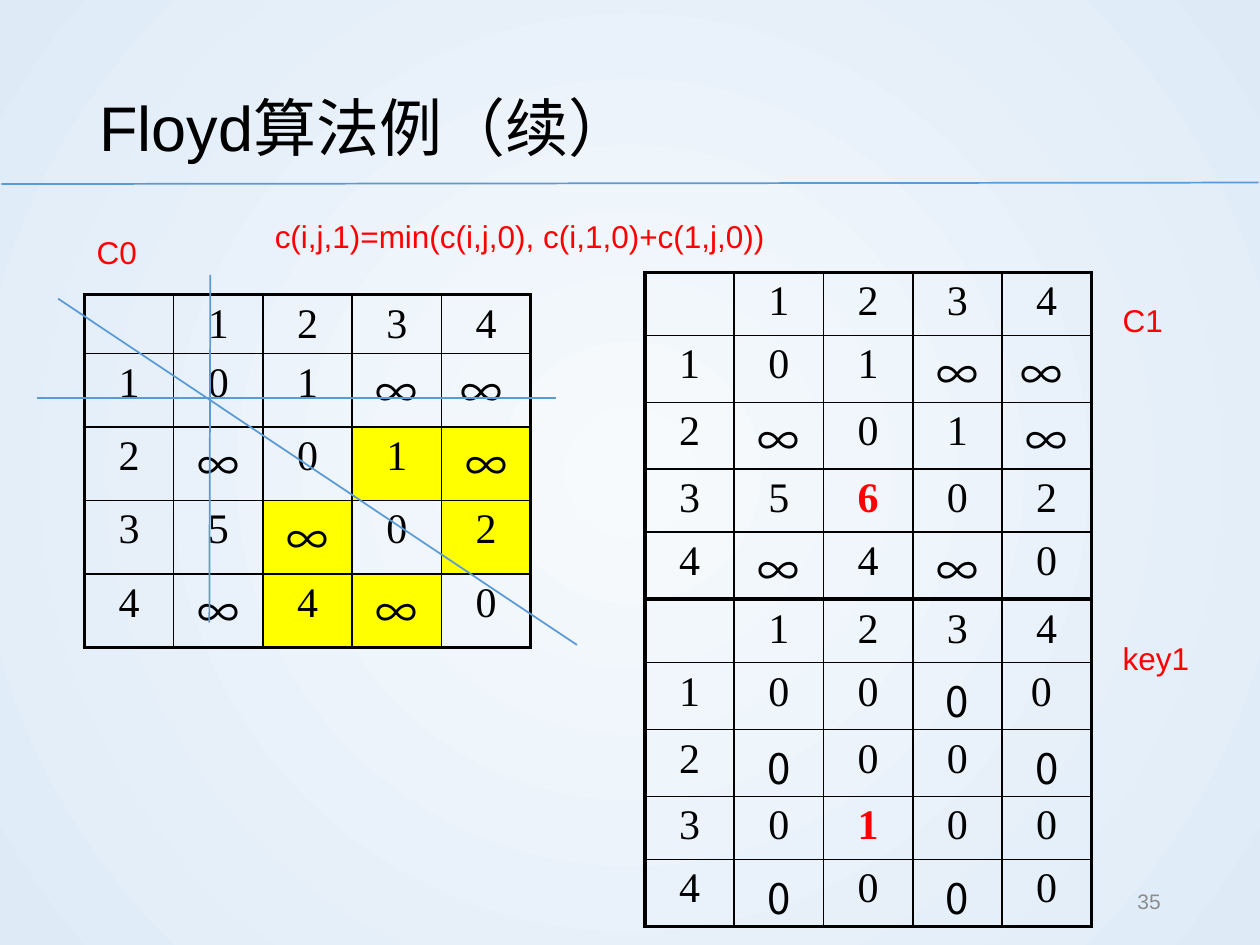
import dataclasses

import pptx
import pptx.dml.color
import pptx.enum.shapes
import pptx.enum.text
import pptx.oxml
import pptx.oxml.ns
import pptx.util

Cm = pptx.util.Cm
Pt = pptx.util.Pt
RGB = pptx.dml.color.RGBColor.from_string
ALIGN = pptx.enum.text.PP_ALIGN
ANCHOR = pptx.enum.text.MSO_ANCHOR
qn = pptx.oxml.ns.qn
NS = pptx.oxml.ns.nsdecls("a")


@dataclasses.dataclass(frozen=True)
class Theme:
    ink: str = "000000"
    red: str = "FF0000"
    gold: str = "FFFF00"
    blue: str = "5B9BD5"
    gray: str = "8C8C8C"
    glow: str = "F7FAFD"
    edge: str = "DEEBF7"
    sans: str = "Arial"
    serif: str = "Times New Roman"
    wide: str = "Noto Sans CJK SC"
    title: int = 36
    cell: int = 24
    label: int = 18
    small: int = 12
    thin: float = 1
    thick: float = 2.25


@dataclasses.dataclass(frozen=True)
class Grid:
    left: float
    top: float
    head: float
    row: float
    body: tuple
    wide: tuple = ()  # (row, column) of digits in the wide font
    gold: tuple = ()
    red: tuple = ()


@dataclasses.dataclass(frozen=True)
class Label:
    text: str
    left: float
    top: float
    width: float


@dataclasses.dataclass(frozen=True)
class Rule:
    x1: float
    y1: float
    x2: float
    y2: float


LOOK = Theme()
COL = 1.8
HEAD = ("", "1", "2", "3", "4")

COST0 = Grid(1.7, 5.94, 1.19, 1.48,
             ("0|1|∞|∞ ", "∞|0|1|∞", "5|∞|0|2", "∞|4|∞|0"),
             gold=((2, 3), (2, 4), (3, 2), (3, 4), (4, 2), (4, 3)))
COST1 = Grid(13, 5.49, 1.27, 1.27,
             ("0|1|∞|∞ ", "∞|0|1|∞", "5|6|0|2", "∞|4|∞|0"),
             red=((3, 2),))
KEY1 = Grid(13, 12.09, 1.27, 1.27,
            ("0|0|0|0 ", "0|0|0|0", "0|1|0|0", "0|0|0|0"),
            wide=((1, 3), (2, 1), (2, 4), (4, 1), (4, 3)),
            red=((3, 2),))
LABELS = (
    Label("C0", 1.7, 4.57, 1.9),
    Label("c(i,j,1)=min(c(i,j,0), c(i,1,0)+c(1,j,0))", 5.29, 4.26, 19.25),
    Label("C1", 22.38, 5.95, 1.9),
    Label("key1", 22.38, 12.76, 1.9),
)
RULES = (
    Rule(0.03, 3.71, 25.37, 3.68),    # below the title
    Rule(0.74, 8.03, 11.2, 8.03),     # through row 1
    Rule(4.22, 12.55, 4.24, 5.54),    # through column 1
    Rule(1.17, 6.02, 11.63, 13.0),    # along the diagonal
)


def style(para, name: str, size: float, color: str, bold: bool = False) -> None:
    font = para.font
    font.name, font.size, font.bold = name, Pt(size), bold
    font.color.rgb = RGB(color)


def paint(slide) -> None:
    """Fill the background from a bright centre to darker edges."""
    fill = slide.background.fill
    fill.gradient()
    for stop, color in zip(fill.gradient_stops, (LOOK.glow, LOOK.edge)):
        stop.color.rgb = RGB(color)
    grad = slide.background._cSld.find(".//" + qn("a:gradFill"))
    line = grad.find(qn("a:lin"))
    grad.replace(line, pptx.oxml.parse_xml(
        f'<a:path {NS} path="circle"><a:fillToRect l="50000" t="50000" '
        'r="50000" b="50000"/></a:path>'))


def draw_rule(slide, rule: Rule) -> None:
    line = slide.shapes.add_connector(
        pptx.enum.shapes.MSO_CONNECTOR.STRAIGHT,
        Cm(rule.x1), Cm(rule.y1), Cm(rule.x2), Cm(rule.y2))
    line.line.color.rgb = RGB(LOOK.blue)
    line.line.width = Pt(LOOK.thin)
    line._element.spPr.append(pptx.oxml.parse_xml(f"<a:effectLst {NS}/>"))


def draw_text(slide, label: Label, size: float, color: str,
              align=ALIGN.LEFT, anchor=ANCHOR.TOP) -> None:
    box = slide.shapes.add_textbox(
        Cm(label.left), Cm(label.top), Cm(label.width), Cm(1.02))
    frame = box.text_frame
    frame.word_wrap = True
    frame.vertical_anchor = anchor
    para = frame.paragraphs[0]
    para.text, para.alignment = label.text, align
    style(para, LOOK.sans, size, color)


def edge_cell(cell, row: int, col: int, last: int) -> None:
    """Draw thick lines on the rim of the table and thin ones inside."""
    rim = {"L": col == 0, "R": col == last, "T": row == 0, "B": row == last}
    props = cell._tc.get_or_add_tcPr()
    for spot, (side, outer) in enumerate(rim.items()):
        width = Pt(LOOK.thick if outer else LOOK.thin)
        props.insert(spot, pptx.oxml.parse_xml(
            f'<a:ln{side} {NS} w="{width}"><a:solidFill>'
            f'<a:srgbClr val="{LOOK.ink}"/></a:solidFill></a:ln{side}>'))


def draw_grid(slide, grid: Grid) -> None:
    rows = [HEAD] + [(str(n), *line.split("|"))
                     for n, line in enumerate(grid.body, 1)]
    size = len(HEAD)
    high = grid.head + grid.row * (size - 1)
    table = slide.shapes.add_table(
        size, size, Cm(grid.left), Cm(grid.top), Cm(COL * size), Cm(high)).table
    table.first_row = table.horz_banding = False
    for r, line in enumerate(rows):
        table.columns[r].width = Cm(COL)
        table.rows[r].height = Cm(grid.row if r else grid.head)
        for c, text in enumerate(line):
            cell, spot = table.cell(r, c), (r, c)
            cell.margin_top, cell.margin_bottom = Cm(0.12), 0
            if spot in grid.gold:
                cell.fill.solid()
                cell.fill.fore_color.rgb = RGB(LOOK.gold)
            else:
                cell.fill.background()
            edge_cell(cell, r, c, size - 1)
            para = cell.text_frame.paragraphs[0]
            para.text, para.alignment = text, ALIGN.CENTER
            wide = "∞" in text or spot in grid.wide
            red = spot in grid.red
            style(para, LOOK.wide if wide else LOOK.serif, LOOK.cell,
                  LOOK.red if red else LOOK.ink, red)


def main() -> None:
    deck = pptx.Presentation()
    deck.slide_width, deck.slide_height = Cm(25.4), Cm(19.05)
    slide = deck.slides.add_slide(deck.slide_layouts[5])
    paint(slide)

    # Title
    title = slide.shapes.title
    title.left, title.top = Cm(1.75), Cm(1.02)
    title.width, title.height = Cm(21.9), Cm(2.74)
    title.text_frame.vertical_anchor = ANCHOR.MIDDLE
    para = title.text_frame.paragraphs[0]
    para.text, para.alignment, para.line_spacing = "Floyd算法例（续）", ALIGN.LEFT, 1.2
    style(para, LOOK.sans, LOOK.title, LOOK.ink)

    # Matrices, labels and the lines over them
    for grid in (COST0, COST1, KEY1):
        draw_grid(slide, grid)
    for label in LABELS:
        draw_text(slide, label, LOOK.label, LOOK.red)
    for rule in RULES:
        draw_rule(slide, rule)

    # Slide number
    draw_text(slide, Label("35", 17.93, 17.65, 5.72), LOOK.small, LOOK.gray,
              ALIGN.RIGHT, ANCHOR.MIDDLE)
    deck.save("out.pptx")


if __name__ == "__main__":
    main()
